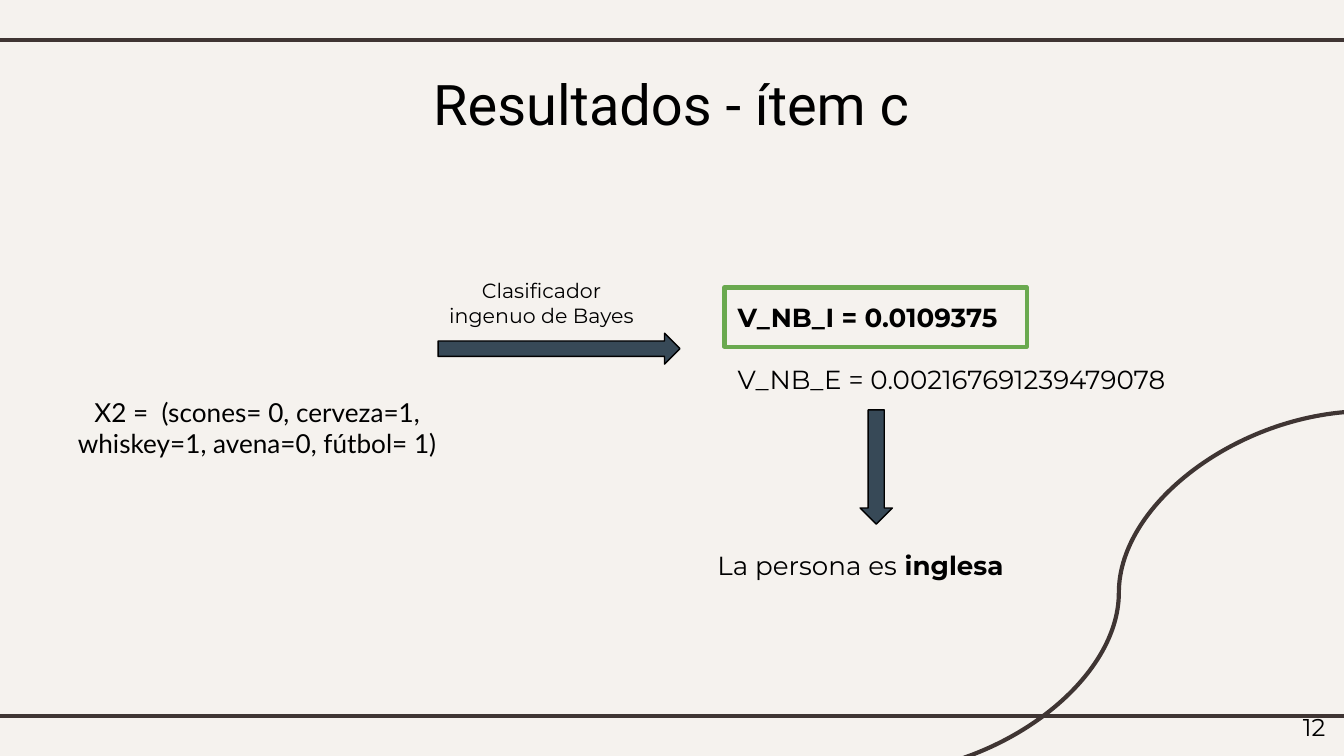
from lxml.etree import SubElement
from pptx import Presentation
from pptx.dml.color import RGBColor
from pptx.enum.shapes import MSO_CONNECTOR, MSO_SHAPE
from pptx.enum.text import MSO_ANCHOR, MSO_AUTO_SIZE, PP_ALIGN
from pptx.oxml.ns import qn
from pptx.util import Inches, Pt

COLORS = {
    "paper": "F5F2EE",
    "brown": "3F3533",
    "slate": "374957",
    "green": "6AA94F",
    "black": "000000",
}


def color(name):
    return RGBColor.from_string(COLORS[name])


def write(para, text, size=14, font="Montserrat", bold=False, align=PP_ALIGN.LEFT):
    para.alignment = align
    run = para.add_run()
    run.text = text
    run.font.size = Pt(size)
    run.font.name = font
    run.font.bold = bold
    run.font.color.rgb = color("black")


class Deck:
    def __init__(self, width, height):
        self.file = Presentation()
        self.file.slide_width = Inches(width)
        self.file.slide_height = Inches(height)
        self.slide = self.file.slides.add_slide(self.file.slide_layouts[5])
        self.slide.background.fill.solid()
        self.slide.background.fill.fore_color.rgb = color("paper")

    def frame(self, shape, anchor):
        frame = shape.text_frame
        frame.word_wrap = True
        frame.auto_size = MSO_AUTO_SIZE.NONE
        frame.vertical_anchor = anchor
        frame.margin_left = frame.margin_right = Inches(0.1)
        frame.margin_top = frame.margin_bottom = Inches(0.1)
        return frame

    def title(self, text, left, top, width, height):
        shape = self.slide.shapes.title
        shape.left, shape.top = Inches(left), Inches(top)
        shape.width, shape.height = Inches(width), Inches(height)
        frame = self.frame(shape, MSO_ANCHOR.TOP)
        write(frame.paragraphs[0], text, size=30, font="Roboto", align=PP_ALIGN.CENTER)

    def text(self, text, left, top, width, height, anchor=MSO_ANCHOR.TOP, **style):
        box = self.slide.shapes.add_textbox(
            Inches(left), Inches(top), Inches(width), Inches(height))
        frame = self.frame(box, anchor)
        write(frame.paragraphs[0], text, **style)
        return frame

    def shape(self, kind, left, top, width, height, line, weight, fill=None):
        shape = self.slide.shapes.add_shape(
            kind, Inches(left), Inches(top), Inches(width), Inches(height))
        shape.shadow.inherit = False
        if fill:
            shape.fill.solid()
            shape.fill.fore_color.rgb = color(fill)
        else:
            shape.fill.background()
        shape.line.color.rgb = color(line)
        shape.line.width = Pt(weight)

    def arrow(self, kind, left, top, width, height):
        self.shape(kind, left, top, width, height, "black", 0.75, "slate")

    def line(self, x1, y1, x2, y2, kind=MSO_CONNECTOR.STRAIGHT):
        line = self.slide.shapes.add_connector(
            kind, Inches(x1), Inches(y1), Inches(x2), Inches(y2))
        line.line.color.rgb = color("brown")
        line.line.width = Pt(2.25)
        SubElement(line._element.spPr, qn("a:effectLst"))


def main():
    deck = Deck(10, 10 * 9 / 16)
    for y in (0.3, 5.33):
        deck.line(-0.08, y, 10.08, y)
    deck.line(10.17, 3.06, 6.48, 5.76, MSO_CONNECTOR.CURVE)

    deck.title("Resultados - ítem c", 1.89, 0.42, 6.21, 0.63)
    deck.text("X2 =  (scones= 0, cerveza=1, whiskey=1, avena=0, fútbol= 1)",
              0.4, 2.85, 3.03, 0.67, font="Lato", align=PP_ALIGN.CENTER)
    deck.arrow(MSO_SHAPE.RIGHT_ARROW, 3.26, 2.48, 1.8, 0.23)
    deck.text("Clasificador ingenuo de Bayes", 3.15, 1.97, 1.76, 0.57,
              size=11, align=PP_ALIGN.CENTER)

    score = deck.text("V_NB_I = 0.0109375", 5.39, 2.14, 3.49, 0.91, bold=True)
    para = score.add_paragraph()
    para.space_before = Pt(16.5)
    write(para, "V_NB_E = 0.002167691239479078")
    deck.shape(MSO_SHAPE.RECTANGLE, 5.39, 2.14, 2.25, 0.44, "green", 2.25)

    result = deck.text("La persona es", 5.24, 3.99, 2.74, 0.44)
    write(result.paragraphs[0], " inglesa", bold=True)
    deck.arrow(MSO_SHAPE.DOWN_ARROW, 6.4, 3.05, 0.24, 0.85)
    deck.text("12", 9.36, 5.19, 0.6, 0.43, anchor=MSO_ANCHOR.MIDDLE,
              size=13, align=PP_ALIGN.RIGHT)
    deck.file.save("out.pptx")


if __name__ == "__main__":
    main()
